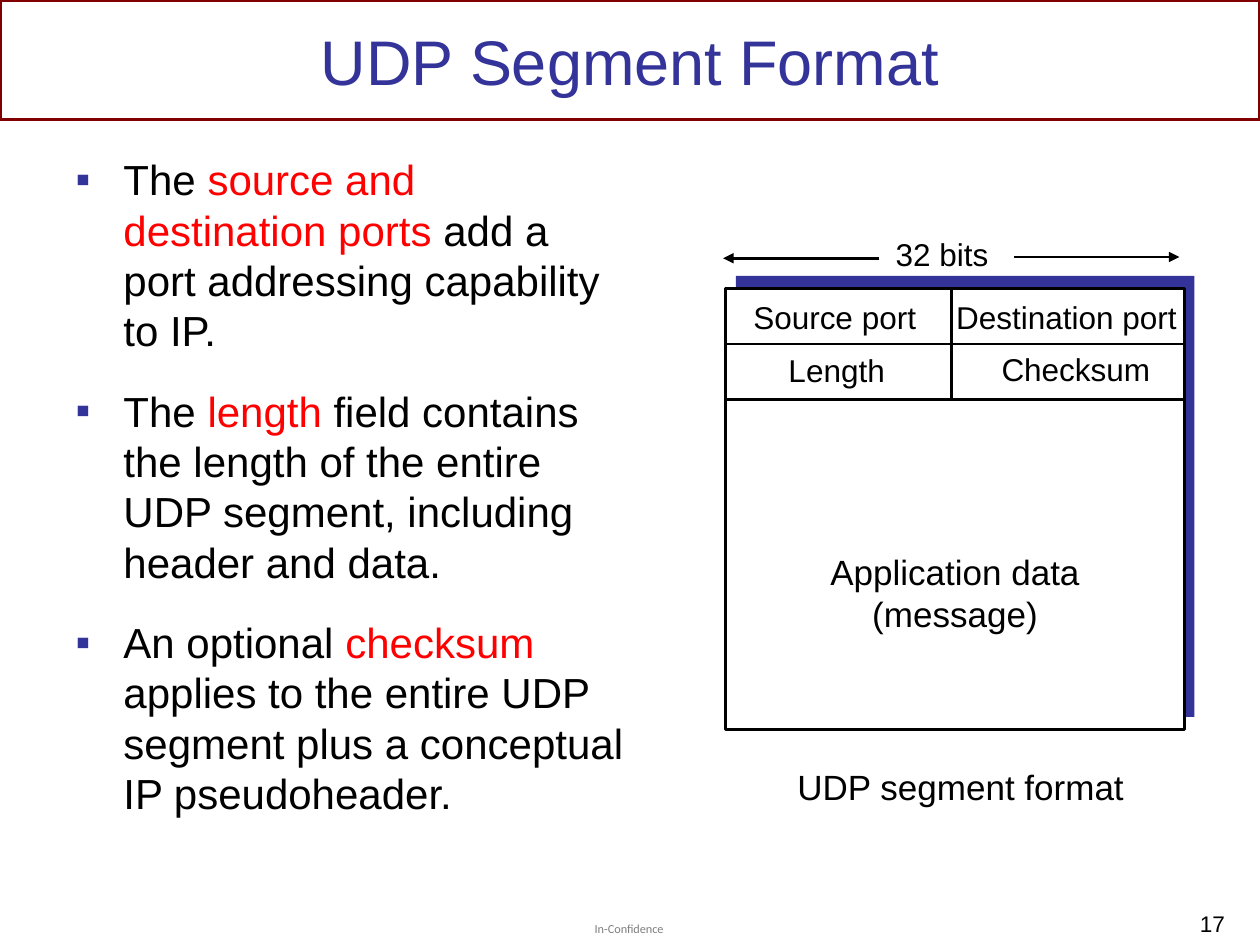
from lxml.etree import SubElement
from pptx import Presentation
from pptx.dml.color import RGBColor
from pptx.enum.shapes import MSO_CONNECTOR as LINE, MSO_SHAPE as SHAPE
from pptx.enum.text import MSO_ANCHOR as ANCHOR, MSO_AUTO_SIZE as FIT, PP_ALIGN as ALIGN
from pptx.oxml.ns import qn
from pptx.util import Inches, Pt

BLUE, RED, BLACK, WHITE = "333399", "FF0000", "000000", "FFFFFF"
MAROON, GREY = "800000", "7F7F7F"

TITLE = "UDP Segment Format"
# Each point: lead, key words in red, rest
POINTS = [
    ("The ", "source and destination ports ",
     "add a port addressing capability to IP."),
    ("The ", "length",
     " field contains the length of the entire UDP segment, including header and data."),
    ("An optional ", "checksum",
     " applies to the entire UDP segment plus a conceptual IP pseudoheader."),
]
# Text, left, top, width, height, size
LABELS = [
    ("32 bits", 7.01, 1.82, 1.04, 0.4, 18),
    ("Source port", 5.88, 2.32, 1.51, 0.4, 18),
    ("Destination port", 7.49, 2.32, 2.04, 0.4, 18),
    ("Length", 6.16, 2.74, 0.97, 0.4, 18),
    ("Checksum", 7.85, 2.73, 1.39, 0.4, 18),
    ("UDP segment format", 6.23, 6.03, 2.9, 0.43, 20),
]
LEFT, TOP, WIDTH, HEIGHT = 5.76, 2.29, 3.64, 3.5
RIGHT, MID = LEFT + WIDTH, 7.55
ROWS = [2.73, 3.17]
ARROWS = [(6.98, 2.05, 5.74, 2.05), (8.05, 2.04, 9.36, 2.04)]


def rgb(code):
    return RGBColor.from_string(code)


def style(font, size, color=BLACK, name="Arial"):
    font.size, font.name = Pt(size), name
    font.color.rgb = rgb(color)


def place(shape, *box):
    shape.left, shape.top, shape.width, shape.height = map(Inches, box)


def add_rect(box, fill=None, line=None, width=1.5):
    rect = slide.shapes.add_shape(SHAPE.RECTANGLE, *map(Inches, box))
    rect.shadow.inherit = False
    if fill:
        rect.fill.solid()
        rect.fill.fore_color.rgb = rgb(fill)
    else:
        rect.fill.background()
    if line:
        rect.line.color.rgb = rgb(line)
        rect.line.width = Pt(width)
    else:
        rect.line.fill.background()


def add_line(ends, arrow=False):
    line = slide.shapes.add_connector(LINE.STRAIGHT, *map(Inches, ends))
    line.line.color.rgb = rgb(BLACK)
    line.line.width = Pt(1.5)
    if arrow:
        SubElement(line.line._get_or_add_ln(), qn("a:tailEnd"), type="triangle")
    SubElement(line._element.spPr, qn("a:effectLst"))


def add_text(text, box, size, color=BLACK, name="Arial", align=ALIGN.LEFT,
             wrap=False, fit=FIT.SHAPE_TO_FIT_TEXT):
    frame = slide.shapes.add_textbox(*map(Inches, box)).text_frame
    frame.word_wrap, frame.auto_size = wrap, fit
    frame.text = text
    for para in frame.paragraphs:
        para.alignment = align
        style(para.font, size, color, name)
    return frame


def add_bullet(para):
    """Give a paragraph a hanging blue square bullet."""
    props = para._p.get_or_add_pPr()
    props.set("marL", str(Inches(0.38)))
    props.set("indent", str(-Inches(0.38)))
    color = SubElement(props, qn("a:buClr"))
    SubElement(color, qn("a:srgbClr"), val=BLUE)
    SubElement(props, qn("a:buFont"), typeface="Arial")
    SubElement(props, qn("a:buChar"), char="▪")


deck = Presentation()
deck.slide_width, deck.slide_height = Inches(10), Inches(7.5)
slide = deck.slides.add_slide(deck.slide_layouts[1])

add_rect((0, 0, 10, 0.95), line=MAROON, width=2)
title, body = slide.placeholders
place(title, 0.5, 0.08, 9, 0.79)
title.text_frame.text = TITLE
title.text_frame.auto_size = FIT.NONE
title.text_frame.vertical_anchor = ANCHOR.MIDDLE
head = title.text_frame.paragraphs[0]
head.alignment = ALIGN.CENTER
style(head.runs[0].font, 36, BLUE)

place(body, 0.5, 1.17, 4.58, 5.92)
frame = body.text_frame
frame.auto_size = FIT.NONE
for i, parts in enumerate(POINTS):
    para = frame.add_paragraph() if i else frame.paragraphs[0]
    add_bullet(para)
    para.space_before, para.space_after = Pt(5 if i else 0), Pt(12)
    for text, color in zip(parts, (BLACK, RED, BLACK)):
        run = para.add_run()
        run.text = text
        style(run.font, 24, color)

add_rect((LEFT + 0.08, TOP - 0.1, WIDTH, HEIGHT), fill=BLUE)
add_rect((LEFT, TOP, WIDTH, HEIGHT), fill=WHITE, line=BLACK)
for y in ROWS:
    add_line((LEFT, y, RIGHT, y))
add_line((MID, TOP, MID, ROWS[-1]))
for ends in ARROWS:
    add_line(ends, arrow=True)

for text, *box, size in LABELS:
    add_text(text, box, size)
add_text("Application data\n(message)", (6.33, 4.32, 2.5, 0.77), 20,
         align=ALIGN.CENTER, wrap=True)
number = add_text("17", (7.62, 7.17, 2.2, 0.3), 12.9, align=ALIGN.RIGHT,
                  wrap=True, fit=FIT.NONE)
number.paragraphs[0].space_after = Pt(6)
footer = add_text("In-Confidence", (4.72, 7.31, 0.57, 0.12), 7, GREY, "Calibri")
footer.margin_left = footer.margin_right = 0
footer.margin_top = footer.margin_bottom = 0

deck.save("out.pptx")
